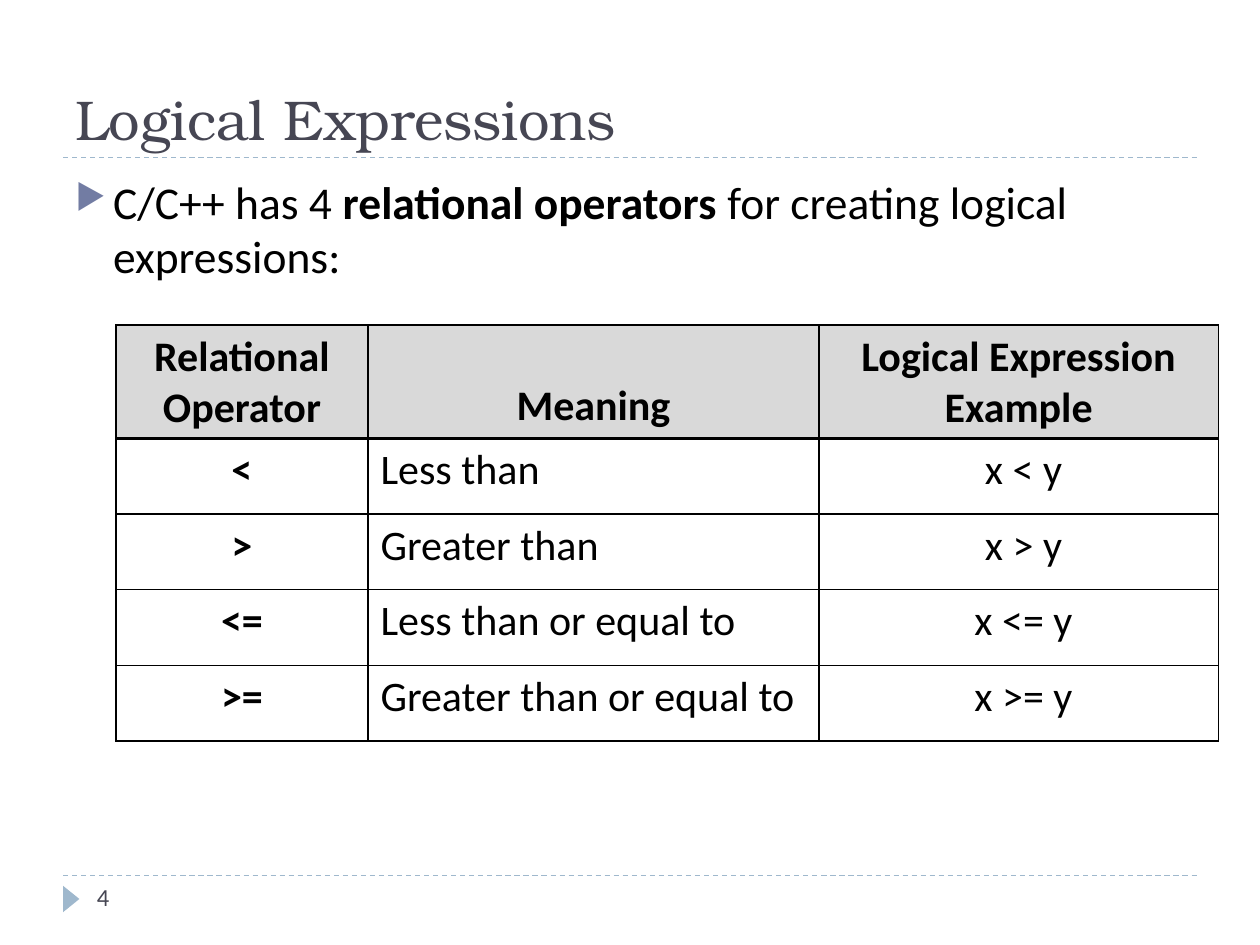
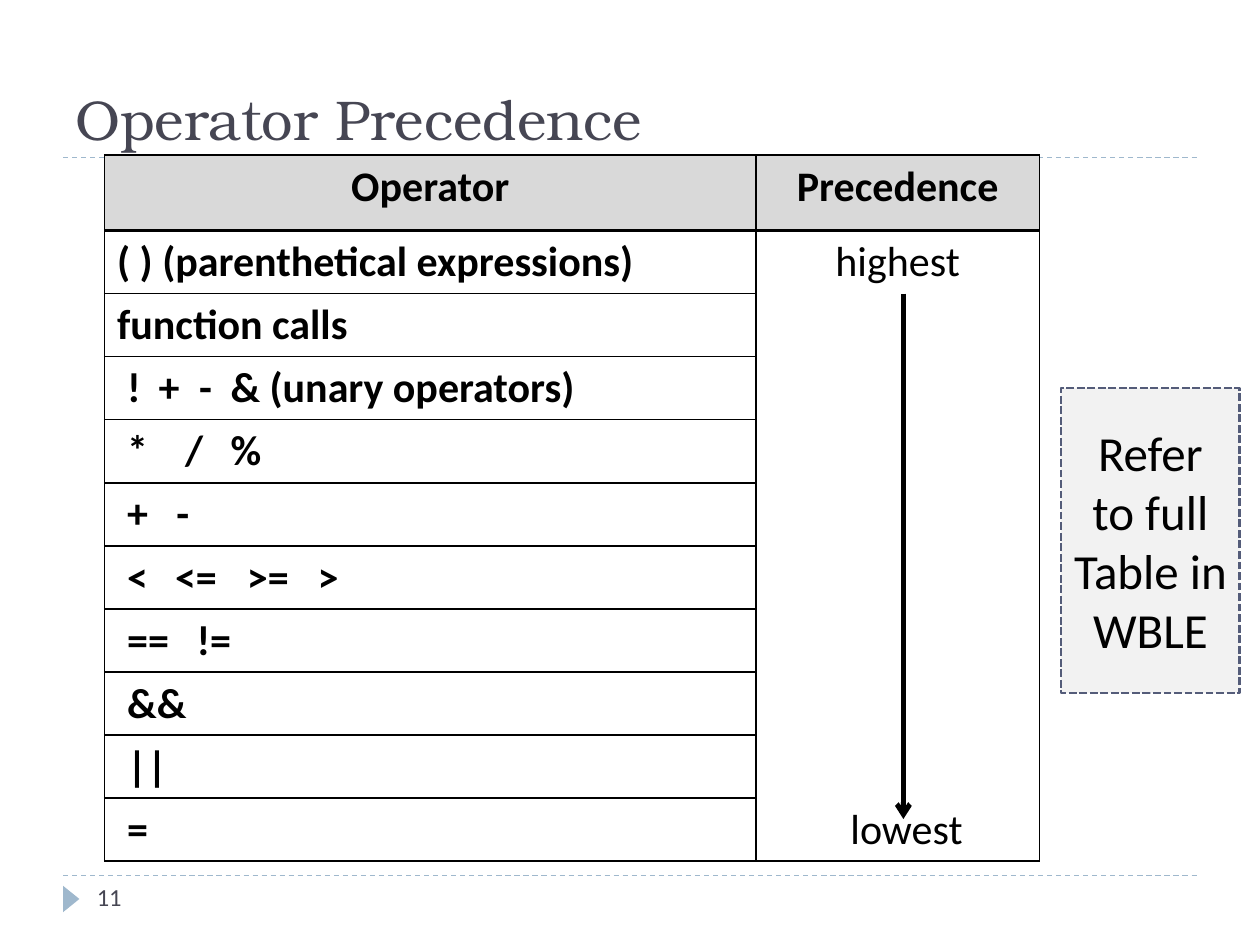
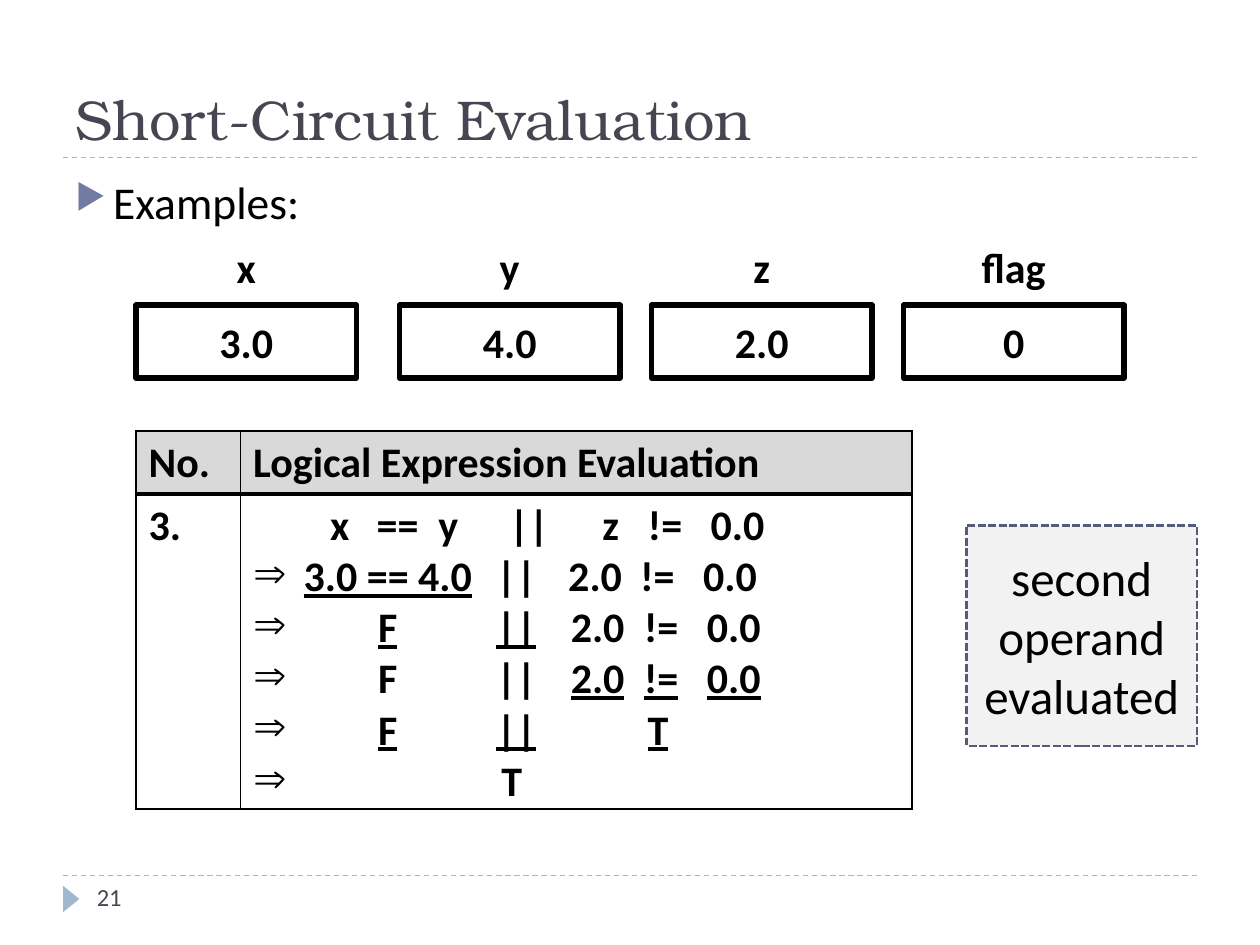
from dataclasses import dataclass

from lxml.etree import SubElement
from pptx import Presentation
from pptx.dml.color import RGBColor
from pptx.enum.dml import MSO_LINE as Dash
from pptx.enum.shapes import MSO_CONNECTOR as Connector, MSO_SHAPE as Shape
from pptx.enum.text import MSO_ANCHOR as Anchor, PP_ALIGN as Align
from pptx.oxml.ns import qn
from pptx.util import Inches, Pt


@dataclass(frozen=True)
class Theme:
    title_font: str = "TeX Gyre Bonum"
    body_font: str = "Calibri"
    ink: str = "000000"
    heading: str = "464653"
    rule: str = "9FB8CD"
    bullet: str = "727CA3"
    header_fill: str = "D9D9D9"
    cell_fill: str = "FFFFFF"
    note_fill: str = "F2F2F2"
    note_line: str = "545C79"
    title_size: int = 32
    note_size: int = 28
    body_size: int = 26
    table_size: int = 24
    number_size: int = 14


theme = Theme()


def add_xml(parent, tag, **attributes):
    return SubElement(parent, qn(tag), {key: str(value) for key, value in attributes.items()})


def write(para, text, size, color=theme.ink, font=theme.body_font, bold=False,
          align=Align.LEFT, mark="underline"):
    """Fill a paragraph; parts between ~ signs get the font attribute named by mark."""
    para.alignment = align
    for index, piece in enumerate(text.split("~")):
        if not piece:
            continue
        span = para.add_run()
        span.text = piece
        span.font.size = Pt(size)
        span.font.name = font
        span.font.bold = bold
        span.font.color.rgb = RGBColor.from_string(color)
        if index % 2:
            setattr(span.font, mark, True)


# A table line is a text, or a text with its tab stops in inches.
relational_table = dict(
    place=(0.92, 2.58), widths=[2, 3.58, 3.17], heights=[0.9] + [0.6] * 4,
    header_align=Align.CENTER, aligns=[Align.CENTER, Align.LEFT, Align.CENTER],
    bold_columns=[0], open_column=None,
    rows=[
        [["Relational", "Operator"], ["Meaning"], ["Logical Expression Example"]],
        [["<"], ["Less than"], [" x < y"]],
        [[">"], ["Greater than"], [" x > y"]],
        [["<="], ["Less than or equal to"], [" x <= y"]],
        [[">="], ["Greater than or equal to"], [" x >= y"]],
    ])

precedence_table = dict(
    place=(0.83, 1.23), widths=[5.17, 2.25], heights=[0.6] + [0.5] * 10,
    header_align=Align.CENTER, aligns=[Align.LEFT, Align.CENTER],
    bold_columns=[0], open_column=1,
    rows=[
        [["Operator"], ["Precedence"]],
        [["( ) (parenthetical expressions)"], ["highest"]],
        [["function calls"], []],
        [[("\t!\t+\t-\t& (unary operators)", [0.08, 0.33, 0.65, 0.9])], []],
        [[("\t*\t/\t%", [0.08, 0.54, 0.9])], []],
        [[("\t+\t-", [0.08, 0.47])], []],
        [[("\t<\t<=\t>=\t>", [0.08, 0.46, 1.03, 1.59])], []],
        [[("\t==\t!=", [0.08, 0.63])], []],
        [[("\t&&", [0.08])], []],
        [[("\t||", [0.08])], []],
        [[("\t=", [0.08])], ["lowest"]],
    ])

middle_stops = [0.99, 1.93, 2.52, 3.1, 3.6]
evaluation_table = dict(
    place=(1.08, 3.42), widths=[0.83, 5.33], heights=[0.5, 2.5],
    header_align=Align.LEFT, aligns=[Align.LEFT, Align.LEFT],
    bold_columns=[0, 1], open_column=None,
    rows=[
        [["No."], ["Logical Expression Evaluation"]],
        [["3."], [
            ("\tx\t==\ty\t||\tz\t!=\t0.0", [0.61, 0.98, 1.47, 2.03, 2.77, 3.13, 3.63]),
            ("⇒\t~3.0 == 4.0~\t||\t2.0\t!=\t0.0", [0.4, 1.93, 2.5, 3.07, 3.57]),
            ("⇒\t~F\t||~\t2.0\t!=\t0.0", middle_stops),
            ("⇒\tF\t||\t~2.0\t!=\t0.0~", middle_stops),
            ("⇒\t~F\t||\tT~", [0.99, 1.93, 3.13]),
            ("⇒\tT", [1.97]),
        ]],
    ])

pages = [
    dict(title="Logical Expressions", number="4", table=relational_table, note=None,
         body="C/C++ has 4 ~relational operators ~for creating logical expressions:"),
    dict(title="Operator Precedence", number="11", table=precedence_table, body=None,
         note=("Refer to full Table in WBLE", 8.42, 3.08, 1.42, 2.42)),
    dict(title="Short-Circuit Evaluation", number="21", table=evaluation_table,
         body="Examples:", note=("second operand evaluated", 7.67, 4.17, 1.83, 1.75)),
]

deck = Presentation()
deck.slide_width = Inches(10)
deck.slide_height = Inches(7.5)
slides = []
tables = []

for page in pages:
    slide = deck.slides.add_slide(deck.slide_layouts[6])
    slides.append(slide)

    for y in (6.95, 1.25):
        rule = slide.shapes.add_connector(
            Connector.STRAIGHT, Inches(0.5), Inches(y), Inches(9.5), Inches(y))
        rule.line.color.rgb = RGBColor.from_string(theme.rule)
        rule.line.width = Pt(0.75)
        rule.line.dash_style = Dash.DASH
        add_xml(rule._element.spPr, "a:effectLst")

    marker = slide.shapes.add_shape(
        Shape.ISOSCELES_TRIANGLE, Inches(0.46), Inches(7.07), Inches(0.21), Inches(0.13))
    marker.rotation = 90
    marker.shadow.inherit = False
    marker.fill.solid()
    marker.fill.fore_color.rgb = RGBColor.from_string(theme.rule)
    marker.line.fill.background()

    title = slide.shapes.add_textbox(Inches(0.5), Inches(0.17), Inches(9), Inches(1.08))
    title.text_frame.word_wrap = True
    title.text_frame.vertical_anchor = Anchor.BOTTOM
    write(title.text_frame.paragraphs[0], page["title"], theme.title_size,
          theme.heading, theme.title_font)

    number = slide.shapes.add_textbox(Inches(0.67), Inches(6.95), Inches(2.17), Inches(0.4))
    number.text_frame.word_wrap = True
    write(number.text_frame.paragraphs[0], page["number"], theme.number_size, theme.heading)

    if page["body"]:
        body = slide.shapes.add_textbox(Inches(0.5), Inches(1.33), Inches(9), Inches(5.4))
        body.text_frame.word_wrap = True
        para = body.text_frame.paragraphs[0]
        properties = para._p.get_or_add_pPr()
        properties.set("marL", str(Inches(0.3)))
        properties.set("indent", str(-Inches(0.3)))
        add_xml(add_xml(properties, "a:buClr"), "a:srgbClr", val=theme.bullet)
        add_xml(properties, "a:buSzPct", val=76000)
        add_xml(properties, "a:buChar", char="▶")
        write(para, page["body"], theme.body_size, mark="bold")

    spec = page["table"]
    left, top = spec["place"]
    rows = spec["rows"]
    table = slide.shapes.add_table(
        len(rows), len(spec["widths"]), Inches(left), Inches(top),
        Inches(sum(spec["widths"])), Inches(sum(spec["heights"]))).table
    table.horz_banding = False
    table.first_row = False
    tables.append(table)
    for column, width in zip(table.columns, spec["widths"]):
        column.width = Inches(width)
    for row, height in zip(table.rows, spec["heights"]):
        row.height = Inches(height)

    last = len(rows) - 1
    for r, row in enumerate(rows):
        for c, lines in enumerate(row):
            cell = table.cell(r, c)
            is_open = c == spec["open_column"] and r > 0
            top_width = 2 if r == 1 else 0 if is_open else 1
            bottom_width = 2 if r == 0 else 0 if is_open and r < last else 1
            borders = {"a:lnL": 1, "a:lnR": 1, "a:lnT": top_width, "a:lnB": bottom_width}
            for tag, width in borders.items():
                border = add_xml(cell._tc.get_or_add_tcPr(), tag, w=Pt(width))
                if width:
                    add_xml(add_xml(border, "a:solidFill"), "a:srgbClr", val=theme.ink)
                else:
                    add_xml(border, "a:noFill")
            cell.fill.solid()
            cell.fill.fore_color.rgb = RGBColor.from_string(
                theme.cell_fill if r else theme.header_fill)

            for index, line in enumerate(lines):
                text, stops = (line, []) if isinstance(line, str) else line
                frame = cell.text_frame
                para = frame.add_paragraph() if index else frame.paragraphs[0]
                properties = para._p.get_or_add_pPr()
                if text.startswith("⇒"):
                    add_xml(properties, "a:buChar", char="⇒")
                    text = text[1:]
                if stops:
                    tab_list = add_xml(properties, "a:tabLst")
                    for stop in stops:
                        add_xml(tab_list, "a:tab", pos=Inches(stop), algn="l")
                write(para, text, theme.table_size,
                      bold=r == 0 or c in spec["bold_columns"],
                      align=spec["aligns"][c] if r else spec["header_align"])

    if page["note"]:
        text, *place = page["note"]
        note = slide.shapes.add_shape(Shape.RECTANGLE, *map(Inches, place))
        note.shadow.inherit = False
        note.fill.solid()
        note.fill.fore_color.rgb = RGBColor.from_string(theme.note_fill)
        note.line.color.rgb = RGBColor.from_string(theme.note_line)
        note.line.width = Pt(1.5)
        note.line.dash_style = Dash.SQUARE_DOT
        note.text_frame.word_wrap = True
        note.text_frame.vertical_anchor = Anchor.MIDDLE
        write(note.text_frame.paragraphs[0], text, theme.note_size, align=Align.CENTER)

# Logical Expressions: the one-line heading sits on the bottom line
tables[0].cell(0, 1).vertical_anchor = Anchor.BOTTOM

# Operator Precedence: one open column with an arrow from highest to lowest
precedence = tables[1]
precedence.cell(1, 1).merge(precedence.cell(2, 1))
precedence.cell(10, 1).margin_left = Inches(0.24)
arrow = slides[1].shapes.add_connector(
    Connector.STRAIGHT, Inches(7.17), Inches(2.33), Inches(7.17), Inches(6.5))
arrow.line.color.rgb = RGBColor.from_string(theme.ink)
arrow.line.width = Pt(2.75)
add_xml(arrow._element.spPr.find(qn("a:ln")), "a:tailEnd", type="arrow")
add_xml(arrow._element.spPr, "a:effectLst")

# Short-Circuit Evaluation: variables, each a name above its value
variables = [("x", "3.0", 1.08), ("y", "4.0", 3.17), ("z", "2.0", 5.17), ("flag", "0", 7.17)]
for name, value, left in variables:
    for text, top, line_width in ((value, 2.42, 3), (name, 1.83, 0)):
        box = slides[2].shapes.add_shape(
            Shape.FLOWCHART_PROCESS, Inches(left), Inches(top), Inches(1.75), Inches(0.58))
        box.shadow.inherit = False
        box.fill.background()
        if line_width:
            box.line.color.rgb = RGBColor.from_string(theme.ink)
            box.line.width = Pt(line_width)
        else:
            box.line.fill.background()
        box.text_frame.vertical_anchor = Anchor.MIDDLE
        write(box.text_frame.paragraphs[0], text, theme.table_size, bold=True,
              align=Align.CENTER)

deck.save("out.pptx")
